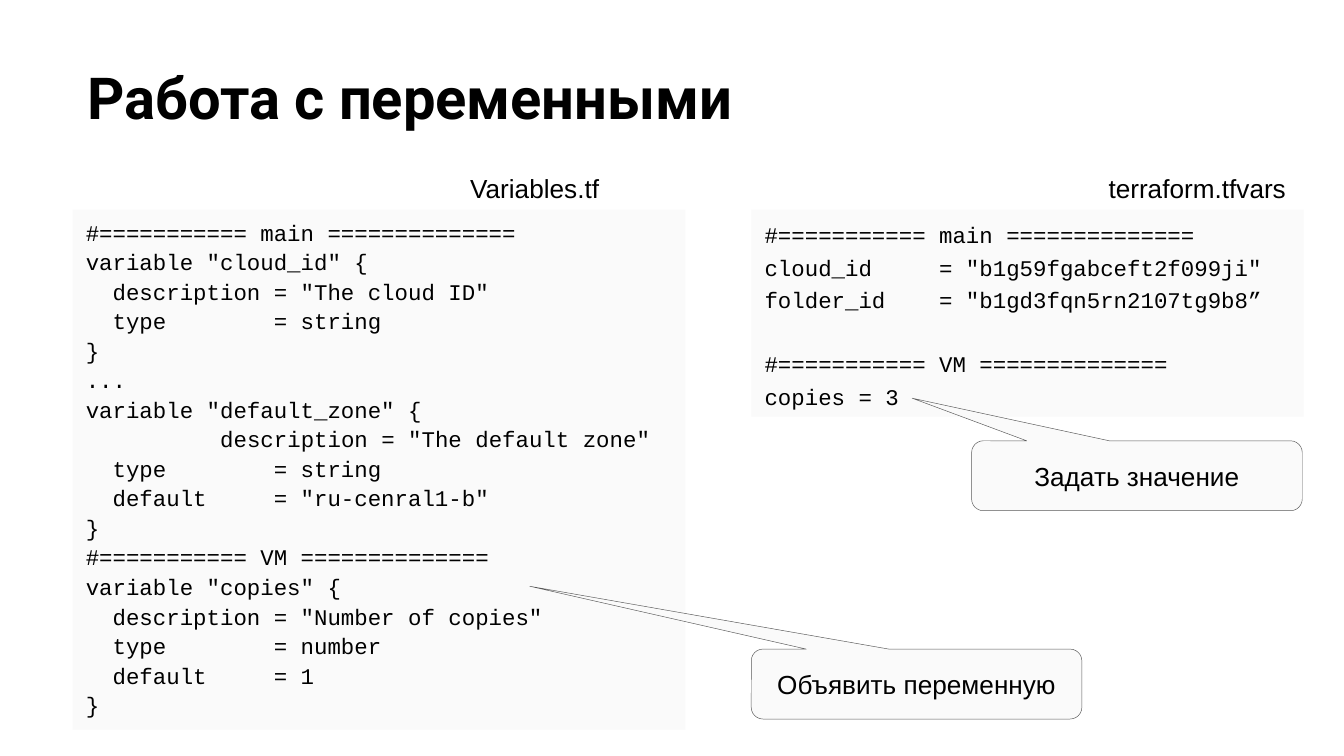
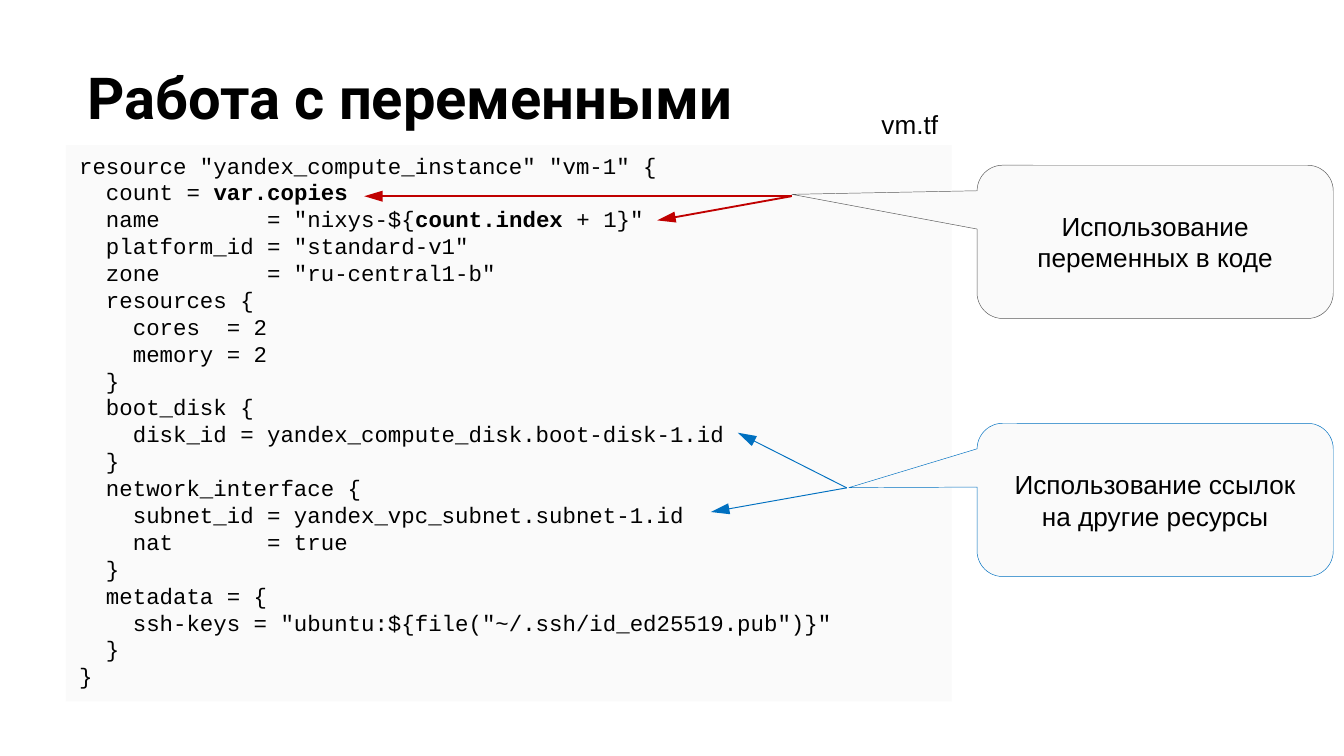
import pptx
import pptx.util
import pptx.dml.color
import pptx.enum.dml
import pptx.enum.shapes
import pptx.enum.text
import pptx.oxml
import pptx.oxml.ns
from pptx.util import Inches

COLORS = {
    "text": "000000",
    "panel": "FAFAFA",
    "outline": "595959",
    "red": "C00000",
    "blue": "0070C0",
}
TITLE = "Работа с переменными"
BOLD = "**"  # marks bold spans inside code

VARIABLES_TF = '''#=========== main ==============
variable "cloud_id" {
  description = "The cloud ID"
  type        = string
}
...
variable "default_zone" {
\tdescription = "The default zone"
  type        = string
  default     = "ru-cenral1-b"
}
#=========== VM ==============
variable "copies" {
  description = "Number of copies"
  type        = number
  default     = 1
}'''

TFVARS = '''#=========== main ==============
cloud_id     = "b1g59fgabceft2f099ji"
folder_id    = "b1gd3fqn5rn2107tg9b8”

#=========== VM ==============
copies = 3'''

VM_TF = '''resource "yandex_compute_instance" "vm-1" {
  count = **var.copies**
  name        = "nixys-${**count.index **+ 1}"
  platform_id = "standard-v1"
  zone        = "ru-central1-b"
  resources {
    cores  = 2
    memory = 2
  }
  boot_disk {
    disk_id = yandex_compute_disk.boot-disk-1.id
  }
  network_interface {
    subnet_id = yandex_vpc_subnet.subnet-1.id
    nat       = true
  }
  metadata = {
    ssh-keys = "ubuntu:${file("~/.ssh/id_ed25519.pub")}"
  }
}'''


def rgb(name):
    return pptx.dml.color.RGBColor.from_string(COLORS[name])


def add_xml(parent, tag, **attributes):
    child = pptx.oxml.parse_xml(f'<{tag} {pptx.oxml.ns.nsdecls("a")}/>')
    for key, value in attributes.items():
        child.set(key, str(value))
    parent.append(child)
    return child


class Deck:
    """Holds the shared style and the slide being built."""

    def __init__(self):
        self.presentation = pptx.Presentation()
        # Widescreen, 16:9
        self.presentation.slide_width = Inches(10)
        self.presentation.slide_height = Inches(10) * 9 // 16
        self.slide = None

    def style(self, paragraph, size, face="Arial", bold=None):
        font = paragraph.font
        font.size = pptx.util.Pt(size)
        font.name = face
        font.bold = bold
        font.color.rgb = rgb("text")

    def add_slide(self, heading):
        layout = self.presentation.slide_layouts[5]
        self.slide = self.presentation.slides.add_slide(layout)
        title = self.slide.shapes.title
        title.left, title.top = Inches(0.55), Inches(0.36)
        title.width, title.height = Inches(9.32), Inches(1.2)
        frame = title.text_frame
        frame.text = heading
        frame.auto_size = pptx.enum.text.MSO_AUTO_SIZE.NONE
        frame.vertical_anchor = pptx.enum.text.MSO_ANCHOR.TOP
        frame.margin_left = frame.margin_right = Inches(0.1)
        frame.margin_top = frame.margin_bottom = Inches(0.1)
        paragraph = frame.paragraphs[0]
        paragraph.alignment = pptx.enum.text.PP_ALIGN.LEFT
        self.style(paragraph, 31, "Roboto", True)

    def shape(self, preset, box, line=None):
        shape = self.slide.shapes.add_shape(preset, *map(Inches, box))
        shape.shadow.inherit = False
        shape.fill.solid()
        shape.fill.fore_color.rgb = rgb("panel")
        if line:
            shape.line.color.rgb = rgb(line)
            shape.line.width = pptx.util.Pt(0.25)
        else:
            shape.line.fill.background()
        shape.text_frame.word_wrap = True
        return shape

    def code(self, listing, box, spacing=1.0):
        panel = self.shape(pptx.enum.shapes.MSO_SHAPE.RECTANGLE, box)
        frame = panel.text_frame
        frame.vertical_anchor = pptx.enum.text.MSO_ANCHOR.TOP
        for number, row in enumerate(listing.split("\n")):
            paragraph = frame.add_paragraph() if number else frame.paragraphs[0]
            paragraph.alignment = pptx.enum.text.PP_ALIGN.LEFT
            paragraph.line_spacing = spacing
            if "\t" in row:
                stops = add_xml(paragraph._p.get_or_add_pPr(), "a:tabLst")
                add_xml(stops, "a:tab", pos=Inches(1), algn="l")
            self.style(paragraph, 12, "Courier New")
            for index, part in enumerate(row.split(BOLD)):
                if part:
                    run = paragraph.add_run()
                    run.text = part
                    if index % 2:
                        run.font.bold = True

    def file_name(self, text, box):
        label = self.slide.shapes.add_textbox(*map(Inches, box))
        label.text_frame.word_wrap = False
        label.text_frame.text = text
        paragraph = label.text_frame.paragraphs[0]
        paragraph.line_spacing = 1.2
        self.style(paragraph, 14)

    def callout(self, text, box, pointer, line="outline"):
        preset = pptx.enum.shapes.MSO_SHAPE.ROUNDED_RECTANGULAR_CALLOUT
        callout = self.shape(preset, box, line)
        for index, value in enumerate((*pointer, 0.167)):
            callout.adjustments[index] = value
        frame = callout.text_frame
        frame.text = text
        frame.vertical_anchor = pptx.enum.text.MSO_ANCHOR.MIDDLE
        paragraph = frame.paragraphs[0]
        paragraph.alignment = pptx.enum.text.PP_ALIGN.CENTER
        self.style(paragraph, 14)

    def arrow(self, start, end, color, width):
        arrow = self.slide.shapes.add_connector(
            pptx.enum.shapes.MSO_CONNECTOR.STRAIGHT, *map(Inches, (*start, *end)))
        arrow.line.color.rgb = rgb(color)
        arrow.line.width = pptx.util.Pt(width)
        properties = arrow._element.spPr
        add_xml(properties.get_or_add_ln(), "a:tailEnd", type="triangle", len="lg")
        add_xml(properties, "a:effectLst")


def build_declaration(deck):
    deck.add_slide(TITLE)
    # Declarations and values side by side
    deck.code(VARIABLES_TF, (0.54, 1.56, 4.56, 3.87), 1.1)
    deck.file_name("Variables.tf", (3.4, 1.19, 1.24, 0.37))
    deck.code(TFVARS, (5.59, 1.56, 4.11, 1.54), 1.2)
    deck.file_name("terraform.tfvars", (8.15, 1.19, 1.54, 0.36))
    # Explanations
    deck.callout("Объявить переменную", (5.59, 4.83, 2.46, 0.52), (-1.17, -1.4))
    deck.callout("Задать значение", (7.23, 3.28, 2.46, 0.52), (-0.68, -1.11))


def build_usage(deck):
    deck.add_slide(TITLE)
    deck.code(VM_TF, (0.49, 1.08, 6.59, 4.14))
    deck.file_name("vm.tf", (6.46, 0.71, 0.62, 0.37))
    # Variables used in the code
    variables_origin = (5.89, 1.46)
    for target in ((2.71, 1.46), (4.89, 1.64)):
        deck.arrow(variables_origin, target, "red", 1)
    deck.callout("Использование переменных в коде",
                 (7.27, 1.23, 2.65, 1.14), (-1.02, -0.31))
    # References to other resources
    deck.callout("Использование ссылок на другие ресурсы",
                 (7.27, 3.15, 2.65, 1.14), (-0.86, -0.08), "blue")
    references_origin = (6.3, 3.63)
    for target in ((5.29, 3.81), (5.49, 3.22)):
        deck.arrow(references_origin, target, "blue", 0.5)


def main():
    deck = Deck()
    build_declaration(deck)
    build_usage(deck)
    deck.presentation.save("out.pptx")


if __name__ == "__main__":
    main()
